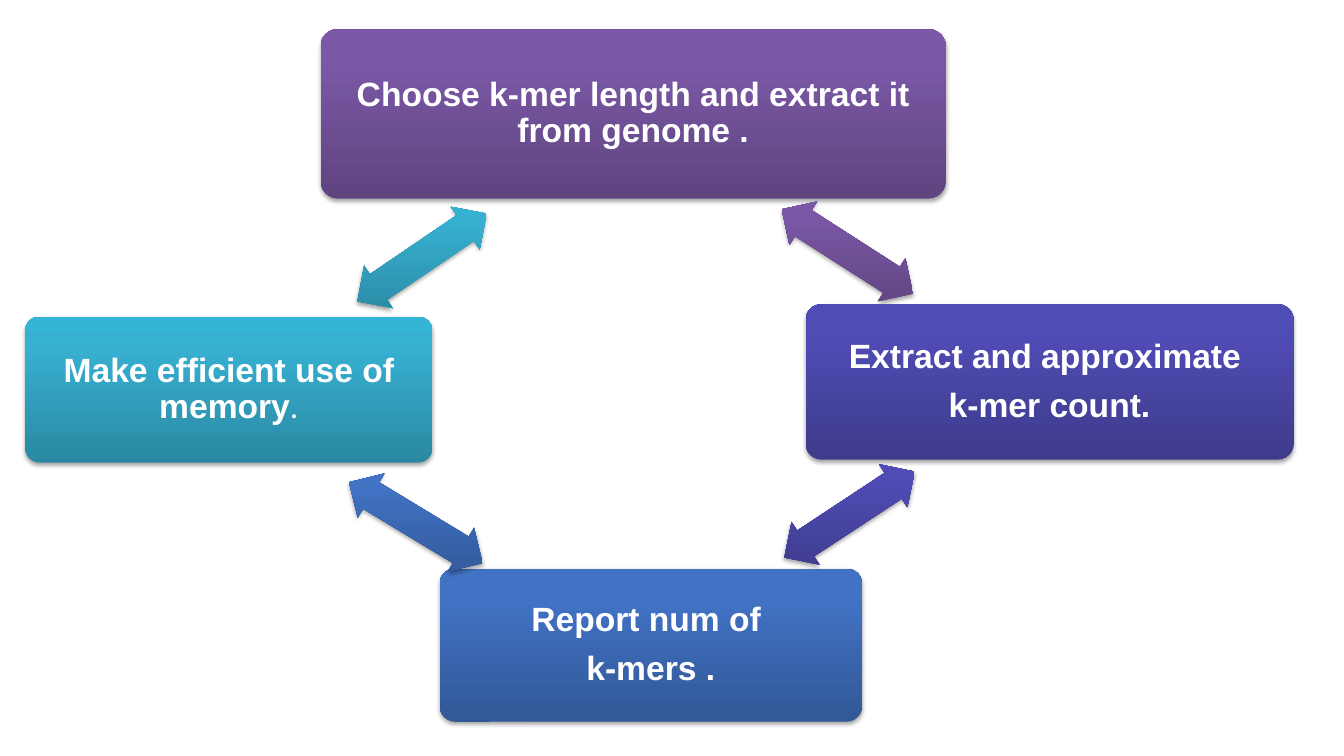
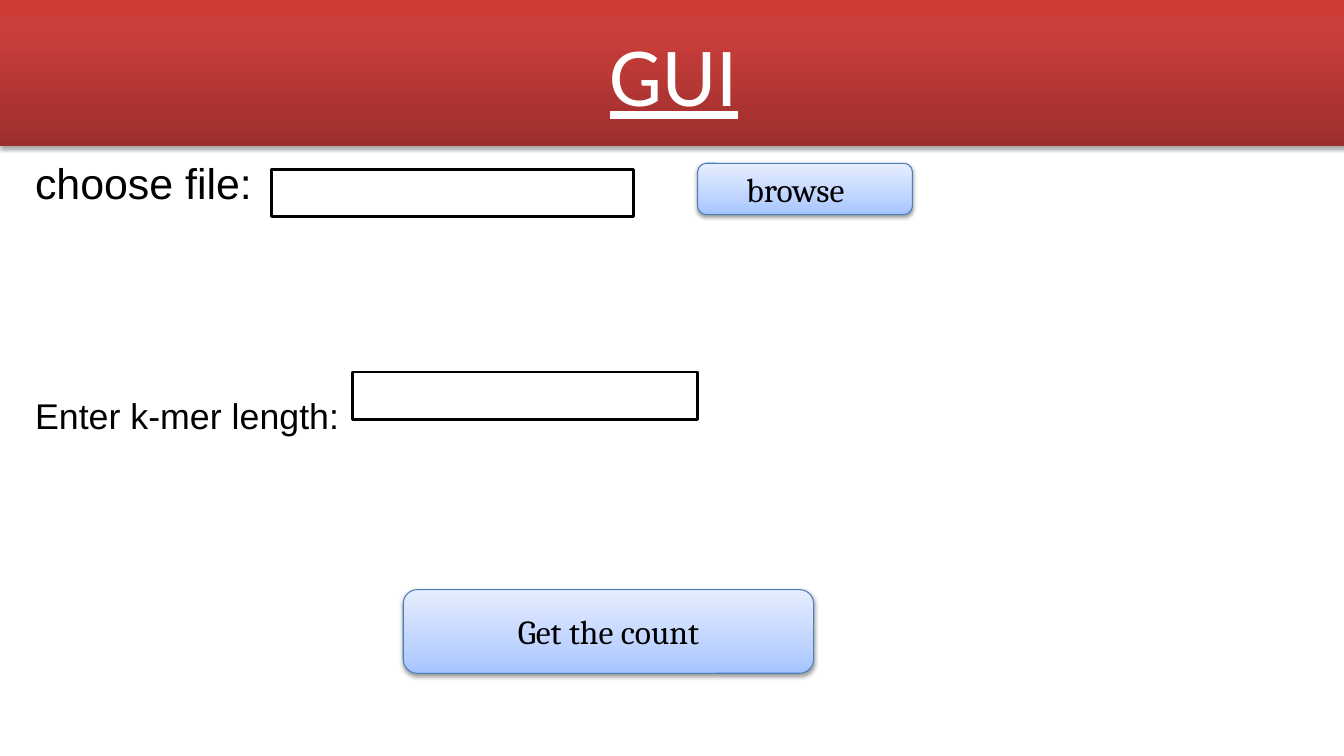
from dataclasses import dataclass
from pptx import Presentation, oxml
from pptx.dml.color import RGBColor
from pptx.enum import shapes, text
from pptx.oxml import ns
from pptx.util import Inches, Pt


@dataclass(frozen=True)
class Theme:
    white: str = "FFFFFF"
    black: str = "000000"
    edge: str = "4B7EBC"
    purple: tuple = ((0, "5F4480"), (80, "7B58A6"), (100, "7C57A8"))
    indigo: tuple = ((0, "3E3B8B"), (80, "504CB5"), (100, "4F4BB8"))
    blue: tuple = ((0, "325897"), (80, "4172C4"), (100, "3F72C7"))
    teal: tuple = ((0, "2A88A2"), (80, "37B1D2"), (100, "34B4D6"))
    red: tuple = ((0, "9C2F2D"), (80, "CB3E3A"), (100, "CE3B37"))
    pale: tuple = ((0, "A4C4FF"), (35, "BFD4FF"), (100, "E6EEFF"))
    sans: str = "Arial"
    head: str = "Calibri"
    serif: str = "Cambria"
    title: float = 60
    large: float = 30.6
    small: float = 25.5
    body: float = 24


theme = Theme()
kinds = shapes.MSO_SHAPE


def write(shape, lines, size=theme.body, font=theme.sans, color=theme.white,
          bold=False, under=False, align="CENTER", pad=0.1, right=None,
          space=1.0, gap=0, tail=""):
    frame = shape.text_frame
    frame.word_wrap = True
    frame.vertical_anchor = text.MSO_ANCHOR.MIDDLE
    frame.margin_left = Inches(pad)
    frame.margin_right = Inches(pad if right is None else right)
    for i, line in enumerate(lines):
        para = frame.add_paragraph() if i else frame.paragraphs[0]
        para.alignment = text.PP_ALIGN[align]
        para.line_spacing = space
        para.space_before = Pt(gap if i else 0)
        parts = [(line, font, bold)]
        if tail:
            parts.append((tail, theme.head, False))
        for words, face, heavy in parts:
            run = para.add_run()
            run.text = words
            run.font.name = face
            run.font.size = Pt(size)
            run.font.bold = heavy
            run.font.underline = under
            run.font.color.rgb = RGBColor.from_string(color)


def block(slide, kind, box, fill, line=None, width=0.75, shade=35, drop=1.8):
    shape = slide.shapes.add_shape(kind, *map(Inches, box))
    shape.shadow.inherit = False
    if line:
        shape.line.color.rgb = RGBColor.from_string(line)
        shape.line.width = Pt(width)
    else:
        shape.line.fill.background()
    if isinstance(fill, str):
        shape.fill.solid()
        shape.fill.fore_color.rgb = RGBColor.from_string(fill)
        return shape
    shape.fill.gradient()
    props = shape._element.spPr
    stops = "".join(f'<a:gs pos="{pos * 1000}"><a:srgbClr val="{tone}"/></a:gs>'
                    for pos, tone in fill)
    grad = oxml.parse_xml(
        f'<a:gradFill {ns.nsdecls("a")} rotWithShape="0"><a:gsLst>{stops}</a:gsLst>'
        '<a:lin ang="16200000" scaled="0"/></a:gradFill>')
    props.replace(props.find(ns.qn("a:gradFill")), grad)
    props.find(ns.qn("a:effectLst")).append(oxml.parse_xml(
        f'<a:outerShdw {ns.nsdecls("a")} blurRad="{Pt(3.1)}" dist="{Pt(drop)}" '
        f'dir="5400000" rotWithShape="0"><a:srgbClr val="{theme.black}">'
        f'<a:alpha val="{shade * 1000}"/></a:srgbClr></a:outerShdw>'))
    return shape


deck = Presentation()
deck.slide_width, deck.slide_height = Inches(13.33), Inches(7.5)
blank = deck.slide_layouts[6]

cycle = deck.slides.add_slide(blank)
steps = [
    (theme.purple, (3.18, 0.29, 6.2, 1.68), (7.63, 2.24), 32.7,
     ["Choose k-mer length and extract it from genome ."], ""),
    (theme.indigo, (7.99, 3.02, 4.84, 1.54), (7.65, 4.85), 146.6,
     ["Extract and approximate ", "k-mer count."], ""),
    (theme.blue, (4.36, 5.64, 4.19, 1.52), (3.35, 4.93), 211.2,
     ["Report num of ", "k-mers ."], ""),
    (theme.teal, (0.25, 3.14, 4.04, 1.45), (3.41, 2.3), 325.8,
     ["Make efficient use of memory"], "."),
]
for fill, box, spot, turn, lines, tail in steps:
    card = block(cycle, kinds.ROUNDED_RECTANGLE, box, fill)
    card.adjustments[0] = 0.1
    write(card, lines, bold=True, pad=0.15, space=0.9, gap=9.4, tail=tail)
    arrow = block(cycle, kinds.LEFT_RIGHT_ARROW, (*spot, 1.55, 0.51), fill)
    arrow.adjustments[0] = 0.6
    arrow.adjustments[1] = 0.5
    arrow.rotation = turn

form = deck.slides.add_slide(blank)
band = block(form, kinds.RECTANGLE, (0, 0, 13.37, 1.45), theme.red)
write(band, ["GUI"], size=theme.title, font=theme.head, under=True)

fields = [
    ("choose file:", theme.large, 1.81, (2.69, 1.68, 3.59, 0.47)),
    ("Enter k-mer length:", theme.small, 4.12, (3.5, 3.69, 3.42, 0.47)),
]
for label, size, mid, box in fields:
    note = form.shapes.add_textbox(*map(Inches, (0.25, mid - 0.3, 3.4, 0.6)))
    write(note, [label], size=size, color=theme.black, align="LEFT")
    block(form, kinds.RECTANGLE, box, theme.white, line=theme.black, width=2)

buttons = [
    ("browse", (6.92, 1.62, 2.13, 0.51), 0.29),
    ("Get the count", (4, 5.85, 4.07, 0.83), 0.1),
]
for label, box, right in buttons:
    button = block(form, kinds.FLOWCHART_ALTERNATE_PROCESS, box, theme.pale,
                   line=theme.edge, shade=38, drop=1.6)
    write(button, [label], font=theme.serif, color=theme.black, right=right)

deck.save("out.pptx")
